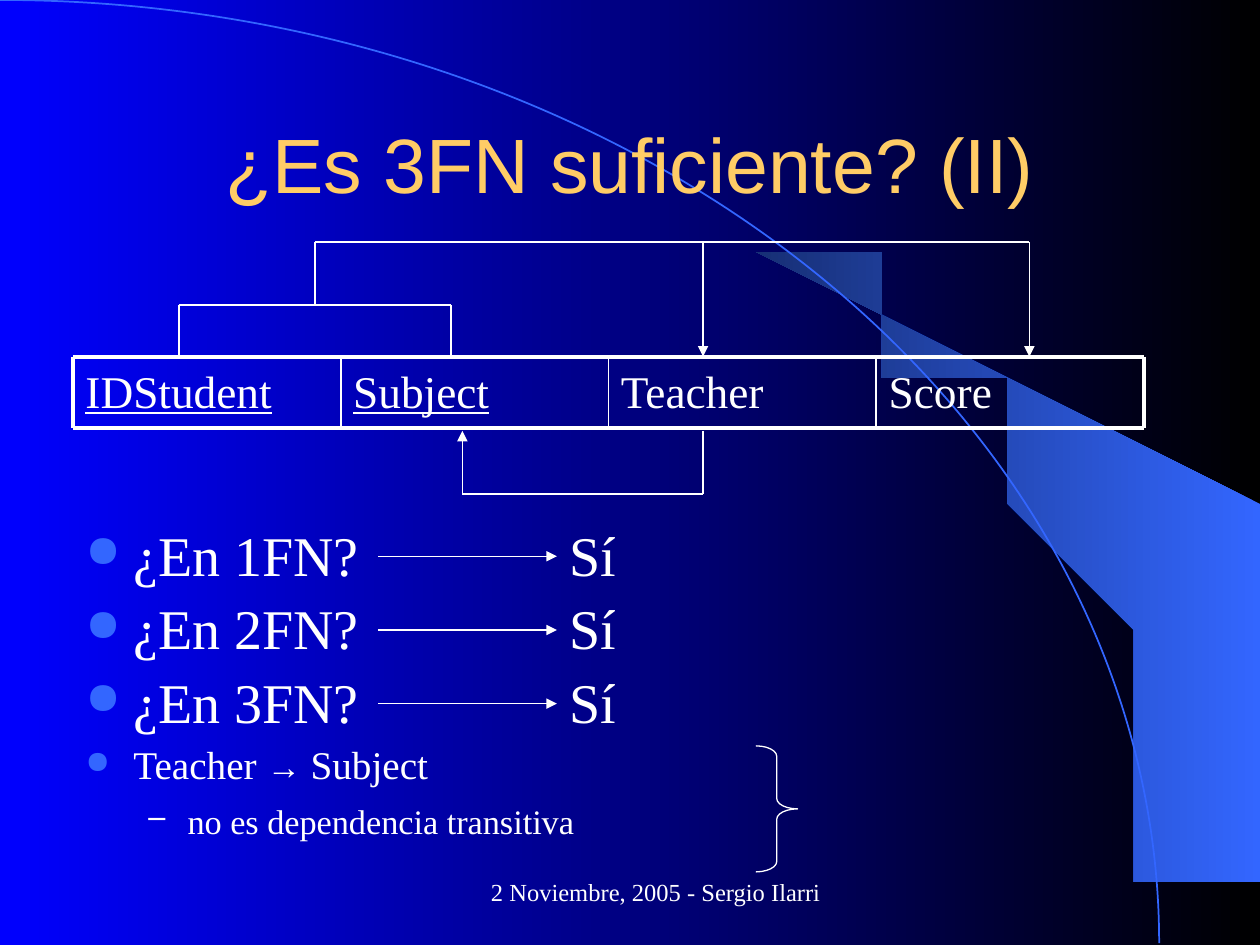
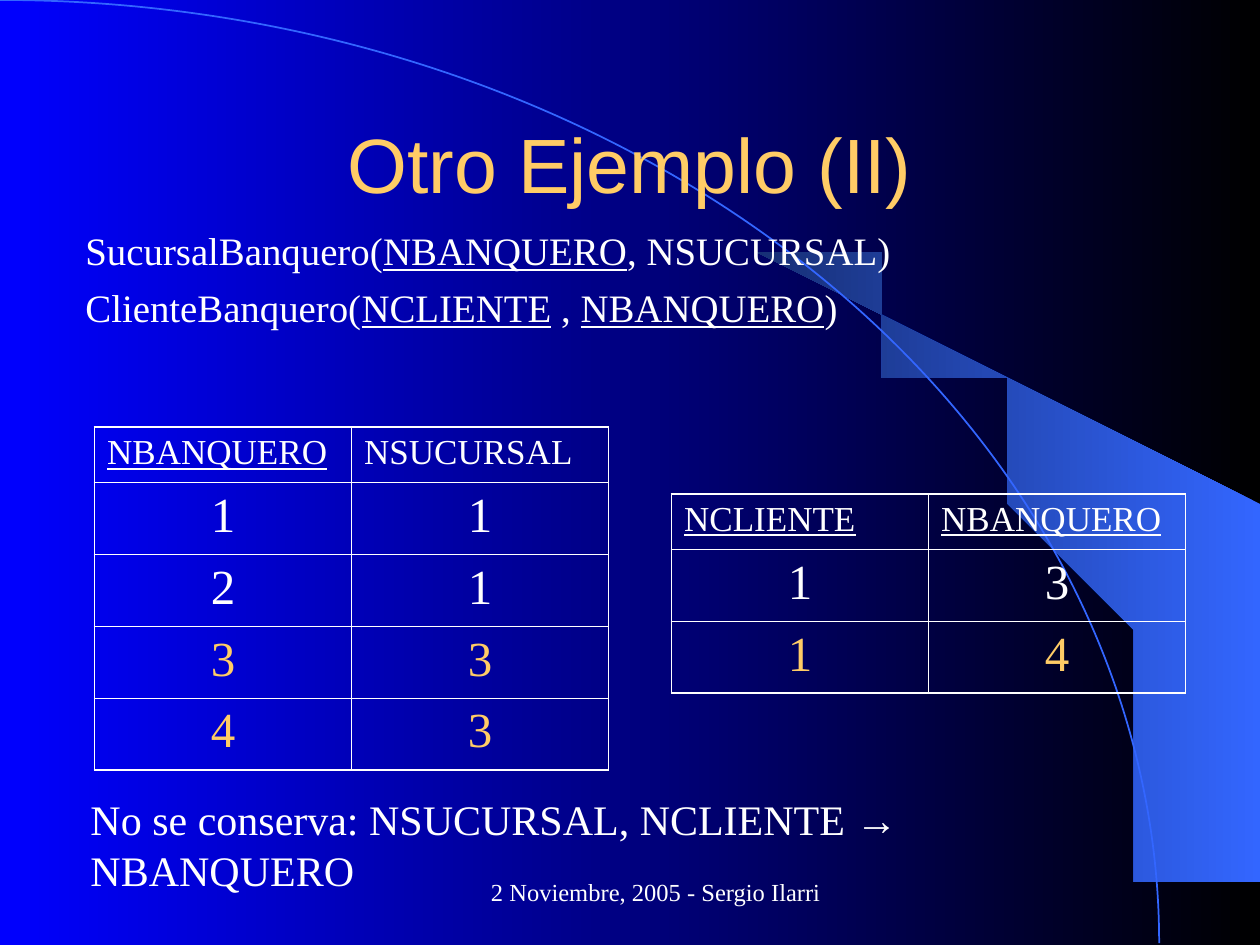
from dataclasses import dataclass
from typing import NamedTuple, Optional

import pptx
import pptx.dml.color
import pptx.enum.shapes
import pptx.enum.text
import pptx.oxml
import pptx.oxml.ns
import pptx.shapes.base
import pptx.slide
import pptx.text.text
import pptx.util
from pptx.util import Inches

# Shared look
WHITE = pptx.dml.color.RGBColor(0xFF, 0xFF, 0xFF)
BLACK = pptx.dml.color.RGBColor(0x00, 0x00, 0x00)
BLUE = pptx.dml.color.RGBColor(0x00, 0x00, 0xFF)
SKY = pptx.dml.color.RGBColor(0x33, 0x66, 0xFF)
NAVY = pptx.dml.color.RGBColor(0x17, 0x2F, 0x75)
GOLD = pptx.dml.color.RGBColor(0xFF, 0xCC, 0x66)
TITLE_FONT = "Arial"
BODY_FONT = "Times New Roman"
FOOTER = "2 Noviembre, 2005 - Sergio Ilarri"
CENTER = pptx.enum.text.PP_ALIGN.CENTER
MIDDLE = pptx.enum.text.MSO_ANCHOR.MIDDLE
SHAPE = pptx.enum.shapes.MSO_SHAPE
THIN = 0.74
TITLE_ONLY_LAYOUT = 5

# Outline of the light beam beside the arc, in inches
BEAM = [
    (9.2, 7.48), (9.99, 7.49), (9.99, 4.23), (5.89, 1.73), (6.24, 1.99), (6.53, 2.22),
    (6.85, 2.5), (7.16, 2.8), (7.62, 3.3), (8.03, 3.84), (8.32, 4.31), (8.58, 4.79),
    (8.78, 5.28), (8.93, 5.72), (9.03, 6.09), (9.13, 6.56), (9.17, 6.96),
]


class Run(NamedTuple):
    text: str
    underline: bool = False
    font: Optional[str] = None
    size: Optional[float] = None


class Box(NamedTuple):
    left: float
    top: float
    width: float
    height: float

    def lengths(self) -> list[int]:
        return [Inches(value) for value in self]


class Bullet(NamedTuple):
    character: str
    color: pptx.dml.color.RGBColor
    percent: int


DOT = Bullet("●", SKY, 80)
DASH = Bullet("–", WHITE, 90)


@dataclass
class Line:
    """One paragraph with its formatting."""
    runs: list[Run]
    size: float
    before: float = 0
    color: pptx.dml.color.RGBColor = WHITE
    centered: bool = False
    left: float = 0
    first: float = 0
    bullet: Optional[Bullet] = None


@dataclass
class Grid:
    """A data table; rows from gold_from on are highlighted."""
    left: float
    top: float
    headers: list[Run]
    rows: list[tuple[int, int]]
    gold_from: int


def xml(markup: str):
    namespace = pptx.oxml.ns.nsdecls("a")
    return pptx.oxml.parse_xml(markup.replace("{ns}", namespace))


def fill_gradient(fill, start: pptx.dml.color.RGBColor, end: pptx.dml.color.RGBColor) -> None:
    """Blend from start at the right to end at the left."""
    fill.gradient()
    fill.gradient_angle = 180
    for stop, color, position in zip(fill.gradient_stops, (start, end), (0, 1)):
        stop.color.rgb = color
        stop.position = position


def write_line(paragraph: pptx.text.text._Paragraph, line: Line) -> None:
    properties = paragraph._p.get_or_add_pPr()
    properties.set("marL", str(Inches(line.left)))
    properties.set("indent", str(Inches(line.first)))
    if line.bullet:
        character, color, percent = line.bullet
        properties.append(xml(f'<a:buClr {{ns}}><a:srgbClr val="{color}"/></a:buClr>'))
        properties.append(xml(f'<a:buSzPct {{ns}} val="{percent * 1000}"/>'))
        properties.append(xml(f'<a:buChar {{ns}} char="{character}"/>'))
    paragraph.space_before = pptx.util.Pt(line.before)
    if line.centered:
        paragraph.alignment = CENTER
    paragraph.font.name = BODY_FONT
    paragraph.font.size = pptx.util.Pt(line.size)
    paragraph.font.color.rgb = line.color
    for part in line.runs:
        run = paragraph.add_run()
        run.text = part.text
        if part.underline:
            run.font.underline = True
        if part.font:
            run.font.name = part.font
        if part.size:
            run.font.size = pptx.util.Pt(part.size)


def add_text(slide: pptx.slide.Slide, box: Box, *lines: Line):
    frame = slide.shapes.add_textbox(*box.lengths()).text_frame
    frame.word_wrap = True
    for index, line in enumerate(lines):
        write_line(frame.add_paragraph() if index else frame.paragraphs[0], line)
    return frame


def add_line(slide: pptx.slide.Slide, start: tuple[float, float], end: tuple[float, float],
             width: float = THIN, arrow: bool = False) -> None:
    connector = slide.shapes.add_connector(
        pptx.enum.shapes.MSO_CONNECTOR.STRAIGHT, *map(Inches, start + end))
    connector.line.color.rgb = WHITE
    connector.line.width = pptx.util.Pt(width)
    properties = connector.element.spPr
    if arrow:
        outline = properties.find(pptx.oxml.ns.qn("a:ln"))
        outline.append(xml('<a:tailEnd {ns} type="triangle"/>'))
    properties.append(xml("<a:effectLst {ns}/>"))


def add_path(slide: pptx.slide.Slide, *points: tuple[float, float], arrow: bool = False) -> None:
    """Join the points with straight lines; the arrowhead goes on the last one."""
    for index, (start, end) in enumerate(zip(points, points[1:])):
        add_line(slide, start, end, arrow=arrow and index == len(points) - 2)


def add_outline(slide: pptx.slide.Slide, kind: SHAPE, box: Box,
                color: pptx.dml.color.RGBColor, width: float) -> pptx.shapes.base.BaseShape:
    shape = slide.shapes.add_shape(kind, *box.lengths())
    shape.shadow.inherit = False
    shape.fill.background()
    shape.line.color.rgb = color
    shape.line.width = pptx.util.Pt(width)
    return shape


def add_slide(presentation, title_text: str) -> pptx.slide.Slide:
    """Start a slide with the decoration, title and footer."""
    slide = presentation.slides.add_slide(presentation.slide_layouts[TITLE_ONLY_LAYOUT])
    builder = slide.shapes.build_freeform(*BEAM[0], scale=Inches(1))
    builder.add_line_segments(BEAM[1:], close=True)
    beam = builder.convert_to_shape()
    beam.shadow.inherit = False
    beam.line.fill.background()
    fill_gradient(beam.fill, SKY, NAVY)
    add_outline(slide, SHAPE.ARC, Box(-9.2, 0, 18.4, 14.97), SKY, 0.99)

    title = slide.shapes.title
    title.element.getparent().append(title.element)  # in front of the decoration
    title.left, title.top, title.width, title.height = Box(0.75, 0.67, 8.5, 1.25).lengths()
    frame = title.text_frame
    frame.text = title_text
    frame.auto_size = pptx.enum.text.MSO_AUTO_SIZE.NONE
    frame.vertical_anchor = MIDDLE
    paragraph = frame.paragraphs[0]
    paragraph.alignment = CENTER
    paragraph.font.name = TITLE_FONT
    paragraph.font.size = pptx.util.Pt(44)
    paragraph.font.color.rgb = GOLD

    footer = add_text(slide, Box(3, 6.83, 4.17, 0.5),
                      Line([Run(FOOTER)], 14, centered=True, left=0.24))
    footer.vertical_anchor = MIDDLE
    return slide


def set_borders(cell, outer: dict[str, bool]) -> None:
    """Draw the four cell borders, heavier on the outside of the table."""
    properties = cell._tc.get_or_add_tcPr()
    for index, (side, is_outer) in enumerate(outer.items()):
        width = pptx.util.Pt(1.08 if is_outer else 0.45)
        properties.insert(index, xml(
            f'<a:ln{side} {{ns}} w="{width}"><a:solidFill><a:srgbClr val="{WHITE}"/>'
            f'</a:solidFill></a:ln{side}>'))


def add_grid(slide: pptx.slide.Slide, grid: Grid) -> None:
    heights = [0.44] + [0.57] * len(grid.rows)
    columns = len(grid.headers)
    box = Box(grid.left, grid.top, 2.04 * columns, sum(heights))
    table = slide.shapes.add_table(len(heights), columns, *box.lengths()).table
    table.first_row = table.horz_banding = False
    for row, height in enumerate(heights):
        table.rows[row].height = Inches(height)
        for column in range(columns):
            cell = table.cell(row, column)
            cell.fill.background()
            set_borders(cell, {"L": column == 0, "R": column == columns - 1,
                               "T": row == 0, "B": row == len(heights) - 1})
            if row == 0:
                line = Line([grid.headers[column]], 20, before=5)
            else:
                color = GOLD if row >= grid.gold_from else WHITE
                value = Run(str(grid.rows[row - 1][column]))
                line = Line([value], 28, before=7, color=color, centered=True)
            write_line(cell.text_frame.paragraphs[0], line)


def build_third_form(presentation) -> None:
    slide = add_slide(presentation, "¿Es 3FN suficiente? (II)")

    # Relation with its four attributes
    left, top, bottom, column_width = 0.58, 2.83, 3.4, 2.125
    attributes = [Run("IDStudent", True), Run("Subject", True), Run("Teacher"), Run("Score")]
    edges = [left + column_width * index for index in range(len(attributes) + 1)]
    for edge, attribute in zip(edges, attributes):
        add_text(slide, Box(edge, top, column_width, bottom - top),
                 Line([attribute], 25.9, before=7))
    for y in (top, bottom):
        add_line(slide, (edges[0], y), (edges[-1], y), 2.24)
    for edge in edges:
        add_line(slide, (edge, top), (edge, bottom), 2.24 if edge in (edges[0], edges[-1]) else 0.99)

    # Dependencies: the key above, Teacher to Subject below
    add_path(slide, (1.42, top), (1.42, 2.42), (3.58, 2.42), (3.58, top))
    add_path(slide, (2.5, 2.42), (2.5, 1.92), (8.17, 1.92), (8.17, top), arrow=True)
    add_path(slide, (5.58, 1.92), (5.58, top), arrow=True)
    add_path(slide, (5.58, 3.42), (5.58, 3.92), (3.67, 3.92), (3.67, 3.42), arrow=True)

    # Questions and answers
    for index in range(3):
        y = 4.08 + 0.585 * index
        question = Line([Run(f"¿En {index + 1}FN?")], 32, 8, left=0.38, first=-0.38, bullet=DOT)
        add_text(slide, Box(left, y, 2.5, 0.92), question)
        add_line(slide, (3, y + 0.335), (4.42, y + 0.335), arrow=True)
        add_text(slide, Box(4.42, y, 2.5, 0.92), Line([Run("Sí")], 32, 8))

    # Remark with its brace
    add_text(
        slide, Box(left, 5.83, 9.08, 0.92),
        Line([Run("Teacher "), Run("→ ", font=TITLE_FONT, size=19.6), Run("Subject")],
             22.4, 8, left=0.38, first=-0.38, bullet=DOT),
        Line([Run("no es dependencia transitiva")], 19.6, 7, left=0.81, first=-0.31, bullet=DASH))
    brace = add_outline(slide, SHAPE.RIGHT_BRACE, Box(6, 5.92, 0.33, 1), WHITE, THIN)
    brace.adjustments[0] = 0.25


def build_other_example(presentation) -> None:
    slide = add_slide(presentation, "Otro Ejemplo (II)")
    banker, client = Run("NBANQUERO", True), Run("NCLIENTE", True)

    # Schemas
    add_text(slide, Box(0.58, 1.75, 8.5, 0.92),
             Line([Run("SucursalBanquero("), banker, Run(", NSUCURSAL)")], 22.2, 6),
             Line([Run("ClienteBanquero("), client, Run(" , "), banker, Run(")")], 22.2, 6))

    # Sample data
    add_grid(slide, Grid(0.75, 3.39, [banker, Run("NSUCURSAL")],
                         [(1, 1), (2, 1), (3, 3), (4, 3)], gold_from=3))
    add_grid(slide, Grid(5.33, 3.92, [client, banker], [(1, 3), (1, 4)], gold_from=2))

    # Conclusion
    add_text(slide, Box(0.12, 6.25, 9.1, 0.5),
             Line([Run("No se conserva: NSUCURSAL, NCLIENTE "), Run("→", font=TITLE_FONT),
                   Run(" NBANQUERO")], 24, 6, left=0.5))


presentation = pptx.Presentation()
presentation.slide_width, presentation.slide_height = Inches(10), Inches(7.5)
fill_gradient(presentation.slide_master.background.fill, BLACK, BLUE)
build_third_form(presentation)
build_other_example(presentation)
presentation.save("out.pptx")
